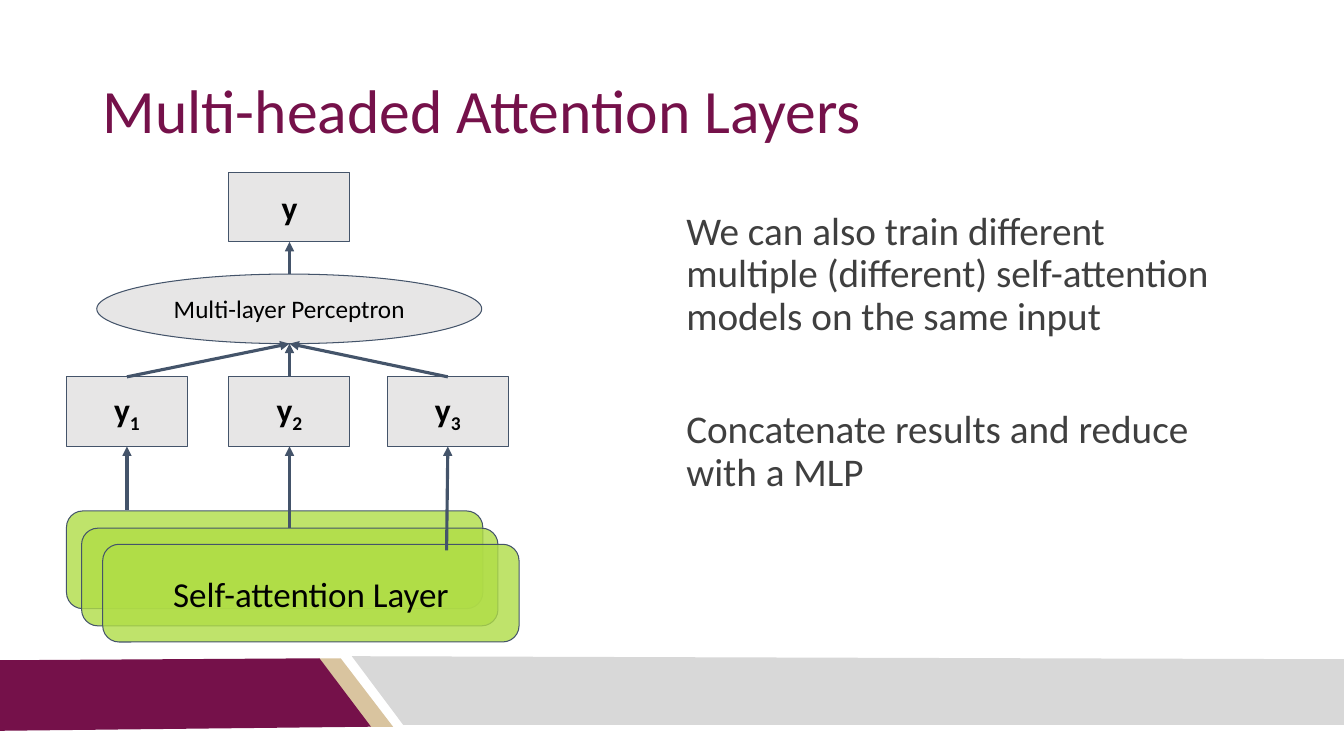
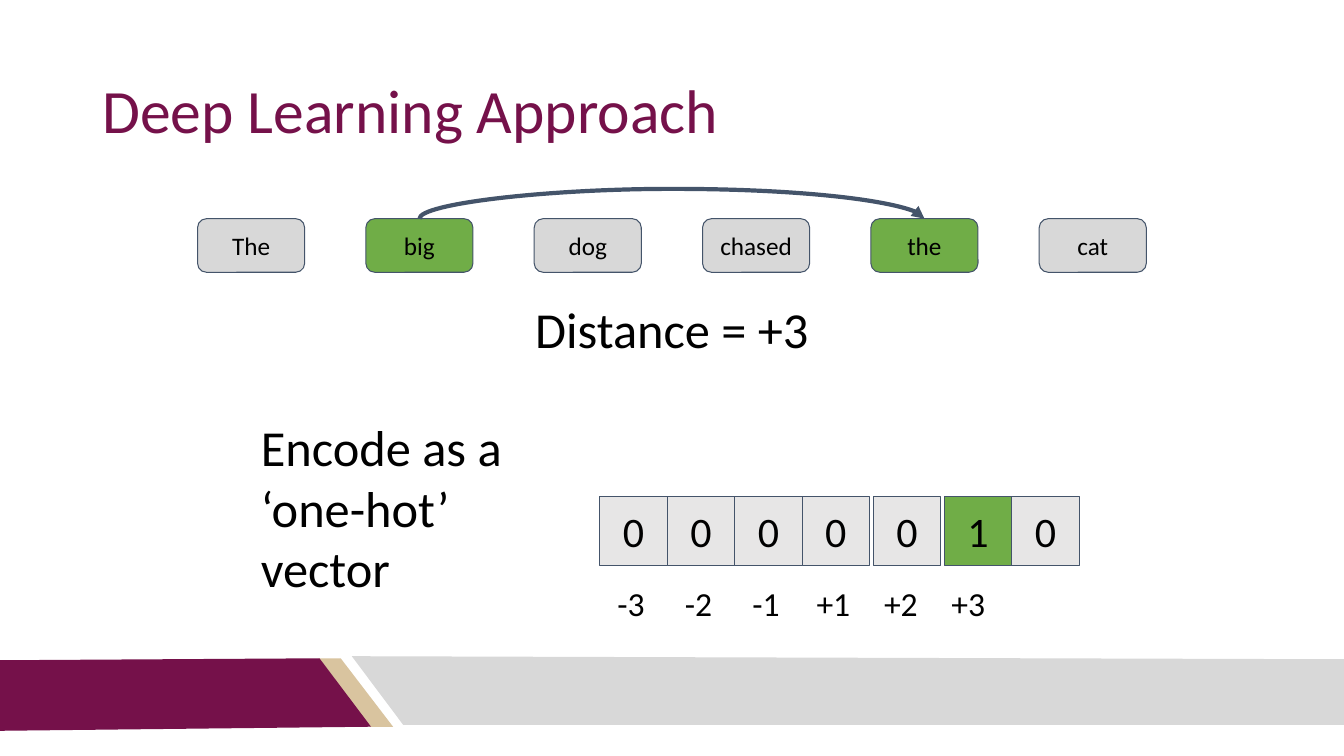
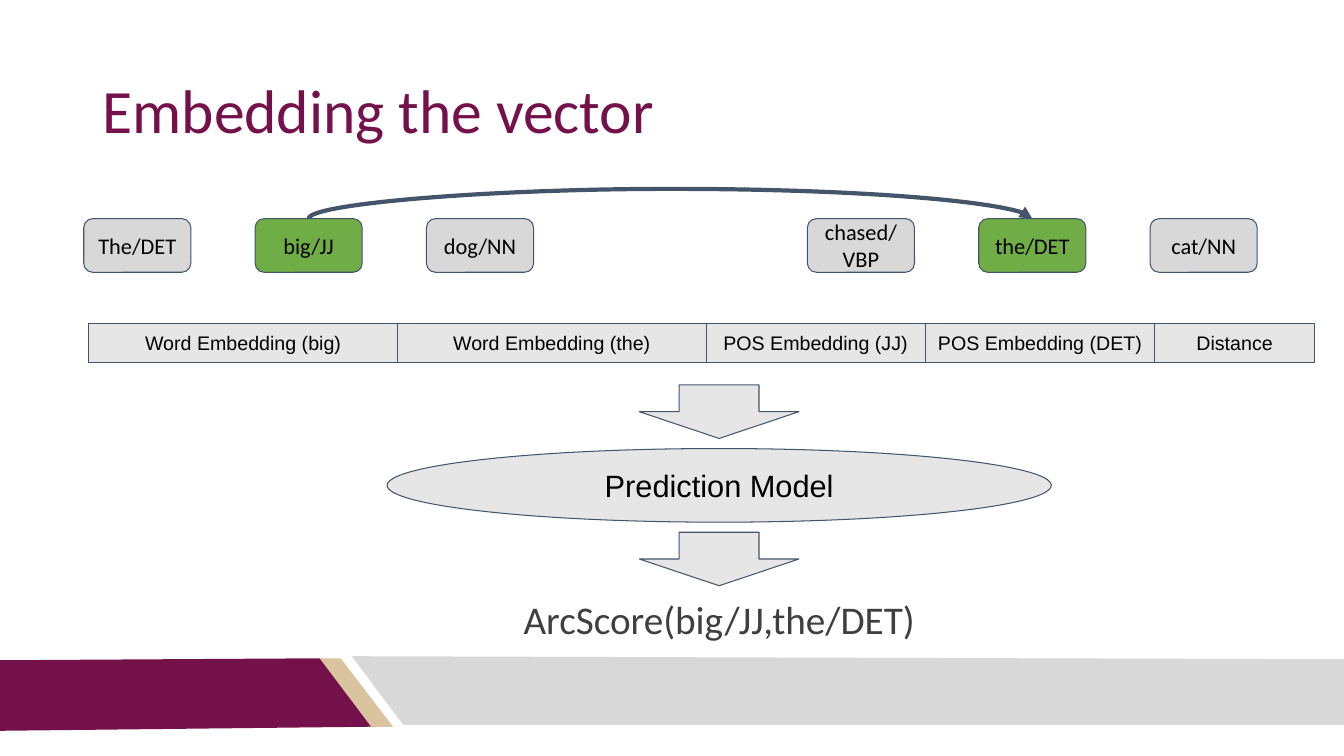
import dataclasses

import lxml.etree
import pptx
import pptx.dml.color
import pptx.enum.shapes
import pptx.enum.text
import pptx.oxml.ns
import pptx.util

Pt = pptx.util.Pt
qn = pptx.oxml.ns.qn
RGB = pptx.dml.color.RGBColor.from_string
SHAPE = pptx.enum.shapes.MSO_SHAPE
LINK = pptx.enum.shapes.MSO_CONNECTOR
ALIGN = pptx.enum.text.PP_ALIGN
ANCHOR = pptx.enum.text.MSO_ANCHOR


@dataclasses.dataclass(frozen=True)
class Theme:
    maroon: str = "75114A"
    tan: str = "D9C49F"
    silver: str = "D8D8D8"
    pale: str = "E7E6E6"
    green: str = "70AD47"
    lime: str = "B0DD46"
    outline: str = "44546A"
    ink: str = "000000"
    soft_ink: str = "3F3F3F"
    font: str = "Calibri"
    plain_font: str = "Arial"
    title: int = 44
    large: int = 36
    digit: int = 30
    body: int = 28
    layer: int = 25
    label: int = 24
    model: int = 22
    word: int = 18
    tagged_word: int = 16
    cell: int = 14


T = Theme()
FRAME = dict(word_wrap=True, margin_left=Pt(7.2), margin_right=Pt(7.2),
             margin_top=Pt(7.2), margin_bottom=Pt(7.2))


def add_box(s, kind, at, text="", size=T.word, fill=T.pale, sub="", gap=0,
            align=ALIGN.CENTER, spacing=None, color=T.ink, **font):
    """Add a preset shape, or a text box when kind is None."""
    at = [Pt(v) for v in at]
    if kind is None:
        sp = s.shapes.add_textbox(*at)
    else:
        sp = s.shapes.add_shape(kind, *at)
        sp.shadow.inherit = False
        sp.fill.solid()
        sp.fill.fore_color.rgb = RGB(fill)
        sp.line.color.rgb = RGB(T.outline)
        sp.line.width = Pt(0.75)
    tf = sp.text_frame
    for name, value in FRAME.items():
        setattr(tf, name, value)
    tf.vertical_anchor = ANCHOR.TOP if kind is None else ANCHOR.MIDDLE
    for i, line in enumerate(text.split("\n") if text else []):
        p = tf.add_paragraph() if i else tf.paragraphs[0]
        p.alignment = align
        p.line_spacing = spacing
        if i:
            p.space_before = Pt(gap)
        for part in filter(None, (line, sub)):
            r = p.add_run()
            r.text = part
            for name, value in {"name": T.font, "size": Pt(size), **font}.items():
                setattr(r.font, name, value)
            r.font.color.rgb = RGB(color)
        if sub:
            r.font._element.set("baseline", "-25000")
    return sp


def add_arrow(s, x1, y1, x2, y2, width=2.25, kind=LINK.STRAIGHT):
    """Add a connector with an arrowhead at its end."""
    c = s.shapes.add_connector(kind, Pt(x1), Pt(y1), Pt(x2), Pt(y2))
    c.line.color.rgb = RGB(T.outline)
    c.line.width = Pt(width)
    lxml.etree.SubElement(c.line._get_or_add_ln(), qn("a:tailEnd"), type="triangle")
    lxml.etree.SubElement(c._element.spPr, qn("a:effectLst"))
    return c


prs = pptx.Presentation()
prs.slide_width, prs.slide_height = Pt(960), Pt(540)
layout = prs.slide_layouts[5]

# Slides and titles
slides = []
for title in ("Multi-headed Attention Layers", "Deep Learning Approach",
              "Embedding the vector"):
    s = prs.slides.add_slide(layout)
    sp = s.shapes.title
    sp.left, sp.top, sp.width, sp.height = Pt(66), Pt(28.8), Pt(828), Pt(104.4)
    tf = sp.text_frame
    for name, value in FRAME.items():
        setattr(tf, name, value)
    tf.auto_size = pptx.enum.text.MSO_AUTO_SIZE.NONE
    tf.vertical_anchor = ANCHOR.MIDDLE
    tf.text = title
    p = tf.paragraphs[0]
    p.alignment, p.line_spacing = ALIGN.LEFT, 0.9
    for name, value in dict(name=T.font, size=Pt(T.title)).items():
        setattr(p.runs[0].font, name, value)
    p.runs[0].font.color.rgb = RGB(T.maroon)
    slides.append(s)
heads, distance, embedding = slides

# Footer bands, drawn once and moved to the shared layout
bands = (
    (T.tan, [(227.5, 470.2), (243.4, 470.2), (280.8, 519.1), (264.2, 519.1)]),
    (T.maroon, [(0, 471.6), (228.2, 470.2), (265, 519.1), (0, 522)]),
    (T.silver, [(251.3, 468.7), (960, 470.9), (960, 517.7), (288, 517.7)]),
)
for color, points in bands:
    points = [(Pt(x), Pt(y)) for x, y in points]
    outline = heads.shapes.build_freeform(*points[0])
    outline.add_line_segments(points[1:], close=True)
    sp = outline.convert_to_shape()
    sp.shadow.inherit = False
    sp.fill.solid()
    sp.fill.fore_color.rgb = RGB(color)
    sp.line.fill.background()
    layout.shapes._spTree.append(sp._element)

# Slide 1: stacked self-attention layers
s = heads
for x, y, text in ((47.5, 365, ""), (58.3, 377.3, ""),
                   (73.4, 388.8, "Self-attention Layer")):
    sp = add_box(s, SHAPE.ROUNDED_RECTANGLE, (x, y, 297.4, 69.8), text,
                 T.layer, T.lime)
    rgb = sp.fill._xPr.find(".//" + qn("a:srgbClr"))
    lxml.etree.SubElement(rgb, qn("a:alpha"), val="80000")

# Slide 1: perceptron and its output
mid, mlp_top, mlp_bottom = 206.8, 195.8, 245.5
add_box(s, SHAPE.OVAL, (69.1, mlp_top, 275, mlp_bottom - mlp_top),
        "Multi-layer Perceptron")
box_w, box_h = 86.4, 49.7
output = add_box(s, SHAPE.RECTANGLE, (mid - box_w / 2, 123.1, box_w, box_h),
                 "y", T.label, bold=True)
add_arrow(s, mid, mlp_top, mid, 172.8).end_connect(output, 2)

# Slide 1: head outputs, each fed from a layer
for n, x, start_x, start_y in (("1", 90.7, 90.7, 364.3), ("2", mid, mid, 377.3),
                               ("3", 319.9, 319, 393.1)):
    head = add_box(s, SHAPE.RECTANGLE, (x - box_w / 2, 269.2, box_w, box_h),
                   "y", T.label, sub=n, bold=True)
    add_arrow(s, start_x, start_y, x, 318.9).end_connect(head, 2)
    add_arrow(s, x, 269.2, mid, mlp_bottom).begin_connect(head, 0)

add_box(s, None, (483.1, 144, 411.1, 300.2),
        "We can also train different multiple (different) self-attention models "
        "on the same input\nConcatenate results and reduce with a MLP",
        T.body, gap=51, align=ALIGN.LEFT, spacing=0.9, color=T.soft_ink)

# Slides 2 and 3: word rows with an arc from the second to the fifth word
word_w, word_h, word_y = 76.5, 38.3, 156.2
rows = (
    (distance, T.word, 141.1, 120.24, 0, "The big dog chased the cat"),
    (embedding, T.tagged_word, 59.8, 122.4, 149.7,
     "The/DET big/JJ dog/NN chased/VBP the/DET cat/NN"),
)
for s, size, left, step, middle_gap, words in rows:
    boxes = []
    for i, word in enumerate(words.split()):
        x = left + i * step + (middle_gap if i > 2 else 0)
        boxes.append(add_box(s, SHAPE.ROUNDED_RECTANGLE, (x, word_y, word_w, word_h),
                             word, size, T.green if i in (1, 4) else T.silver))
    span = 3 * step + middle_gap
    x1 = left + step + word_w / 2
    c = add_arrow(s, x1, word_y, x1 + span, word_y, 3, LINK.CURVE)
    c.begin_connect(boxes[1], 0)
    c.end_connect(boxes[4], 0)
    # The connector lies on its side; its bend is a multiple of its thickness
    thin, rise = 0.05, 18.75
    c.left, c.top = Pt(x1 + span / 2 - thin / 2), Pt(word_y - span / 2)
    c.width, c.height = Pt(thin), Pt(span)
    c.rotation = 270
    c._element.spPr.find(qn("a:xfrm")).set("flipH", "1")
    geom = c._element.spPr.find(qn("a:prstGeom"))
    guides = geom.find(qn("a:avLst"))
    if guides is None:
        guides = lxml.etree.SubElement(geom, qn("a:avLst"))
    lxml.etree.SubElement(guides, qn("a:gd"), name="adj1",
                          fmla=f"val {round(-rise / thin * 100000)}")

# Slide 2: distance and its one-hot vector
s = distance
add_box(s, None, (306, 205.9, 347.8, 64.1), "Distance = +3", T.large)
add_box(s, None, (179.3, 290.2, 194.4, 113.8), "Encode as a ‘one-hot’ vector",
        T.large, align=ALIGN.LEFT)
vector_x, cell_w = 428.4, 48.2
for i, digit in enumerate("0000010"):
    shift = 2.6 * min(max(i - 3, 0), 2)
    add_box(s, SHAPE.RECTANGLE, (vector_x + i * cell_w + shift, 354.9, cell_w, 49),
            digit, T.digit, T.green if digit == "1" else T.pale)
for i, text in enumerate(("-3", "-2", "-1", "+1", "+2", "+3")):
    add_box(s, None, (vector_x + i * cell_w, 409, 44.6, 29.5), text, T.label)

# Slide 3: concatenated embeddings
s = embedding
x = 63.4
for text, w in (("Word Embedding (big)", 220.5), ("Word Embedding (the)", 220.5),
                ("POS Embedding (JJ)", 156.4), ("POS Embedding (DET)", 164.2),
                ("Distance", 113.8)):
    add_box(s, SHAPE.RECTANGLE, (x, 231.1, w, 28), text, T.cell, name=T.plain_font)
    x += w

# Slide 3: prediction and score
add_box(s, SHAPE.OVAL, (276.5, 320.4, 474.5, 52.6), "Prediction Model", T.model,
        name=T.plain_font)
for y in (275, 380.2):
    add_box(s, SHAPE.DOWN_ARROW, (456.7, y, 114, 38.2))
add_box(s, None, (302.4, 421.9, 422.6, 45.4), "ArcScore(big/JJ,the/DET)", T.body,
        spacing=0.9, color=T.soft_ink)

prs.save("out.pptx")
